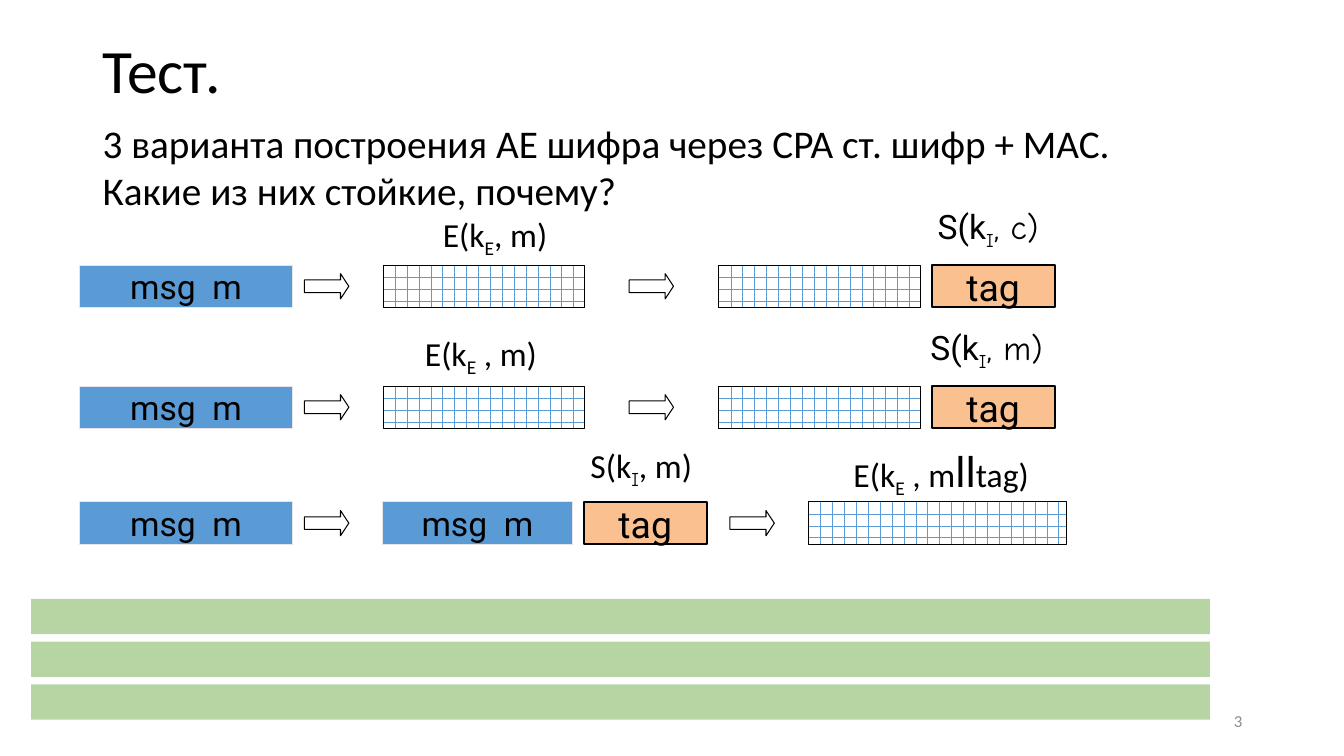
from lxml.etree import SubElement as Sub
from pptx import Presentation
from pptx.dml.color import RGBColor
from pptx.enum.dml import MSO_PATTERN as Pat
from pptx.enum.shapes import MSO_SHAPE as Geo
from pptx.enum.text import MSO_ANCHOR as Anc, MSO_AUTO_SIZE as Auto, PP_ALIGN as Al
from pptx.oxml.ns import qn
from pptx.util import Inches, Pt

WIDE, HIGH = 13.33, 7.5
BLUE, PEACH, GREEN = "5B9BD5", "FAC090", "70AD47"
BLACK, WHITE, PALE, GREY = "000000", "FFFFFF", "E7E6E6", "8C8C8C"
CAL, ROB, COM = "Calibri", "Roboto", "Comic Neue"

ROWS = (2.63, 3.83, 4.98)
BOX, ARROW = 0.42, (0.44, 0.25)
COLS = {"msg": 0.79, "go": 3.02, "enc": 3.8, "next": 6.24, "out": 7.13, "sign": 9.24}
FLOW = [("msg", "msg", 2.11), ("go", "arrow", 0), ("enc", "brick", 2),
        ("next", "arrow", 0), ("out", "brick", 2), ("sign", "tag", 1.22)]
LAST = [(0.79, "msg", 2.11), (3.02, "arrow", 0), (3.79, "msg", 1.89),
        (5.79, "tag", 1.22), (7.24, "arrow", 0), (8.02, "brick", 2.56)]
CHAINS = [[(COLS[col], kind, w) for col, kind, w in FLOW]] * 2 + [LAST]

KINDS = {
    "msg": ("msg  m", 24, BLUE, PALE, 0.75),
    "tag": ("tag", 26.7, PEACH, BLACK, 1.5),
    "brick": ("", 24, BLUE, BLACK, 0.75),
    "arrow": ("", 24, None, BLACK, 0.75),
}

LABELS = [
    (4.28, 2.07, 1.26, 0.5, [("E(k", CAL, 24, 0), ("E", CAL, 24, 1), (", m)", CAL, 24, 0)]),
    (9.15, 1.99, 1.3, 0.5, [("S(k", ROB, 24, 0), ("I", COM, 24, 1), (", c)", COM, 24, 0)]),
    (4.1, 3.25, 1.34, 0.5, [("E(k", CAL, 24, 0), ("E", CAL, 24, 1), (" , m)", CAL, 24, 0)]),
    (9.09, 3.19, 1.39, 0.5, [("S(k", ROB, 24, 0), ("I", COM, 24, 1), (", m)", COM, 24, 0)]),
    (5.73, 4.36, 1.26, 0.5, [("S(k", CAL, 24, 0), ("I", COM, 24, 1), (", m)", CAL, 24, 0)]),
    (8.35, 4.34, 1.97, 0.64, [("E(k", CAL, 24, 0), ("E", CAL, 24, 1), (" , m", CAL, 24, 0),
                              ("ll", CAL, 32, 0), ("tag)", CAL, 24, 0)]),
]
TITLE = [[("Тест.", CAL, 44, 0)]]
TASK = [[("3 варианта построения AE шифра через CPA ст. шифр + MAC.", CAL, 28, 0)],
        [("Какие из них стойкие, почему?", CAL, 28, 0)]]
BARS = (0.31, 5.94, 11.69, 0.35, 0.425, 3)

deck = Presentation()
deck.slide_width, deck.slide_height = Inches(WIDE), Inches(HIGH)
slide = deck.slides.add_slide(deck.slide_layouts[6])


def tint(code):
    return RGBColor.from_string(code)


def apply(item, form):
    for name, value in form.items():
        setattr(item, name, value)


def write(shape, paras, ink=BLACK, frame={}, para={}):
    body = shape.text_frame
    apply(body, frame)
    for num, runs in enumerate(paras):
        line = body.add_paragraph() if num else body.paragraphs[0]
        apply(line, para)
        for text, face, size, low in runs:
            run = line.add_run()
            run.text = text
            apply(run.font, {"name": face, "size": Pt(size)})
            run.font.color.rgb = tint(ink)
            if low:
                run.font._element.set("baseline", "-25000")


def label(x, y, w, h, paras, ink=BLACK, frame={}, para={}):
    box = slide.shapes.add_textbox(*map(Inches, (x, y, w, h)))
    write(box, paras, ink, {"word_wrap": True, **frame}, para)


def draw(geo, x, y, w, h, fill=None, edge=None, thick=0.75):
    shape = slide.shapes.add_shape(geo, *map(Inches, (x, y, w, h)))
    shape.shadow.inherit = False
    if fill:
        shape.fill.solid()
        shape.fill.fore_color.rgb = tint(fill)
    else:
        shape.fill.background()
    if edge:
        shape.line.color.rgb = tint(edge)
        shape.line.width = Pt(thick)
    else:
        shape.line.fill.background()
    return shape


def block(kind, x, y, w):
    text, size, fill, edge, thick = KINDS[kind]
    if kind == "arrow":
        wide, high = ARROW
        shape = draw(Geo.RIGHT_ARROW, x, y + (BOX - high) / 2, wide, high, fill, edge, thick)
        shape.adjustments[1] = 0.33
        return
    shape = draw(Geo.RECTANGLE, x, y, w, BOX, fill, edge, thick)
    if kind == "brick":
        shape.fill.patterned()
        shape.fill.pattern = Pat.HORIZONTAL_BRICK
        shape.fill.fore_color.rgb = tint(BLUE)
        shape.fill.back_color.rgb = tint(WHITE)
    else:
        write(shape, [[(text, ROB, size, 0)]],
              frame={"word_wrap": False, "vertical_anchor": Anc.MIDDLE},
              para={"alignment": Al.CENTER})


for y, chain in zip(ROWS, CHAINS):
    for x, kind, w in chain:
        block(kind, x, y, w)

for x, y, w, h, runs in LABELS:
    label(x, y, w, h, [runs], frame={"word_wrap": False, "auto_size": Auto.SHAPE_TO_FIT_TEXT},
          para={"alignment": Al.CENTER})

label(0.92, 0, 11.5, 1.45, TITLE, frame={"vertical_anchor": Anc.MIDDLE}, para={"line_spacing": 0.9})
label(0.92, 1.13, 11.08, 1.04, TASK, frame={"auto_size": Auto.SHAPE_TO_FIT_TEXT})
label(9.42, 6.95, 3, 0.4, [[("3", CAL, 12, 0)]], GREY,
      {"vertical_anchor": Anc.MIDDLE}, {"alignment": Al.RIGHT})

left, top, wide, high, step, count = BARS
for num in range(count):
    bar = draw(Geo.RECTANGLE, left, top + num * step, wide, high, GREEN)
    color = bar.fill._xPr.find(qn("a:solidFill"))[0]
    Sub(color, qn("a:alpha"), val="50000")

deck.save("out.pptx")
